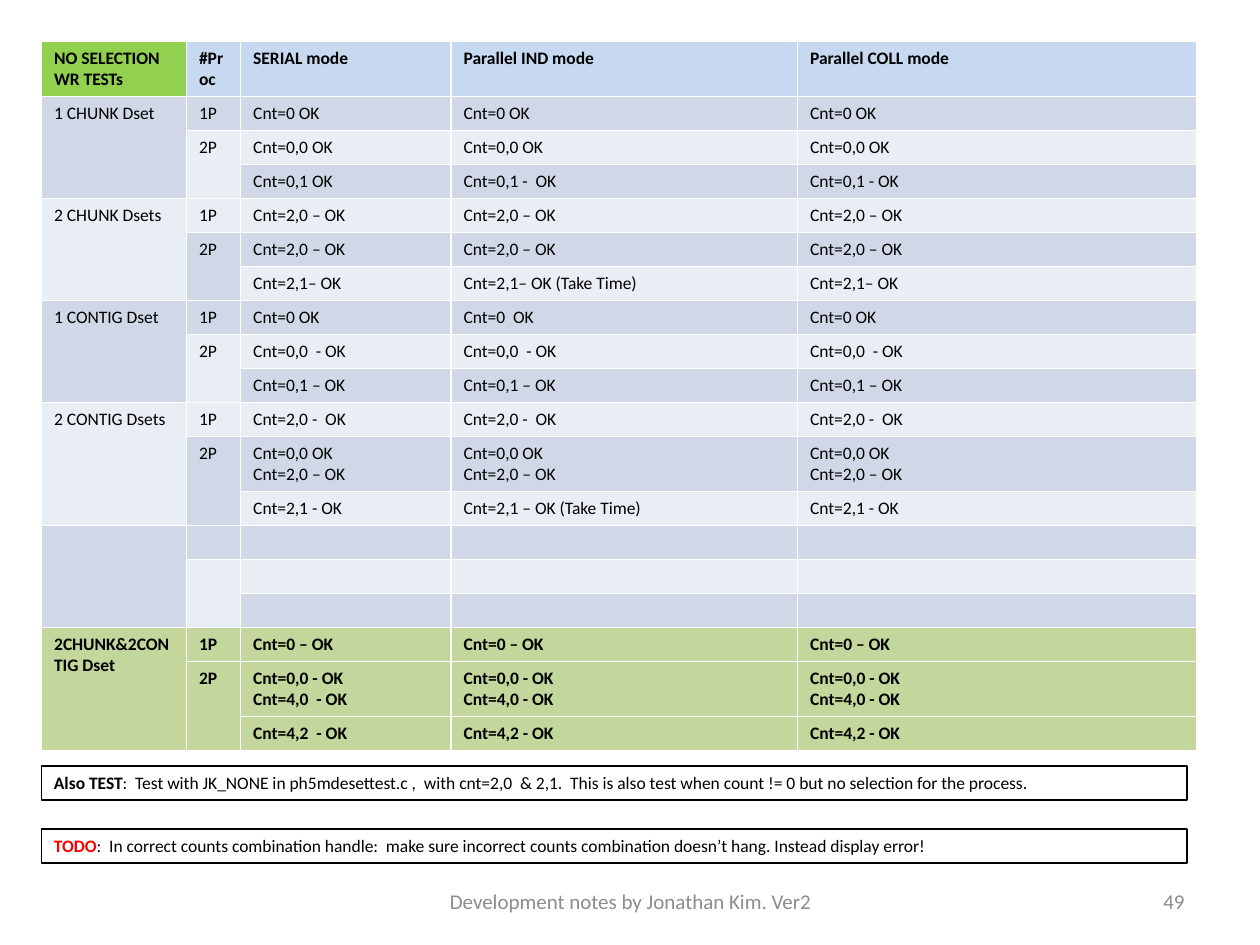
from dataclasses import dataclass

from lxml import etree
from pptx import Presentation
from pptx.dml.color import RGBColor
from pptx.enum.shapes import MSO_SHAPE
from pptx.enum.text import MSO_ANCHOR, PP_ALIGN
from pptx.oxml.ns import qn
from pptx.slide import Slide
from pptx.table import Table
from pptx.util import Inches, Pt

RECTANGLE = MSO_SHAPE.RECTANGLE
TOP, MIDDLE = MSO_ANCHOR.TOP, MSO_ANCHOR.MIDDLE
LEFT, CENTER, RIGHT = PP_ALIGN.LEFT, PP_ALIGN.CENTER, PP_ALIGN.RIGHT

FONT = "Calibri"
BLACK = RGBColor(0x00, 0x00, 0x00)
RED = RGBColor(0xFF, 0x00, 0x00)
GRAY = RGBColor(0x8C, 0x8C, 0x8C)
HEADER_GREEN = RGBColor(0x92, 0xD0, 0x50)
HEADER_BLUE = RGBColor(0xC6, 0xD9, 0xF1)
COMBINED_GREEN = RGBColor(0xC3, 0xD6, 0x9B)
BANDS = (RGBColor(0xE9, 0xED, 0xF4), RGBColor(0xD0, 0xD8, 0xE8))

BODY_SIZE = Pt(10)
MARGIN = 0.33
COLUMN_WIDTHS = (1.15, 0.43, 1.67, 2.75, 3.17)
ONE_LINE, TWO_LINES = 0.27, 0.43


@dataclass(frozen=True)
class TestGroup:
    dataset: str
    one_process: tuple[str, str, str]
    two_processes: tuple[str, str, str]
    two_processes_more: tuple[str, str, str]
    combined: bool = False

    def rows(self) -> list[tuple[str, ...]]:
        labels = ("1P", "2P") if self.dataset else ("", "")
        return [
            (self.dataset, labels[0], *self.one_process),
            ("", labels[1], *self.two_processes),
            ("", "", *self.two_processes_more),
        ]


@dataclass(frozen=True)
class Note:
    top: float
    label: str
    label_color: RGBColor
    message: str


@dataclass(frozen=True)
class FooterItem:
    left: float
    width: float
    text: str
    alignment: PP_ALIGN


HEADINGS = ("NO SELECTION WR TESTs", "#Proc", "SERIAL mode",
            "Parallel IND mode", "Parallel COLL mode")
BLANK_RESULTS = ("", "", "")
GROUPS = (
    TestGroup("1 CHUNK Dset", ("Cnt=0 OK",) * 3, ("Cnt=0,0 OK",) * 3,
              ("Cnt=0,1 OK", "Cnt=0,1 -  OK", "Cnt=0,1 - OK")),
    TestGroup("2 CHUNK Dsets", ("Cnt=2,0 – OK",) * 3, ("Cnt=2,0 – OK",) * 3,
              ("Cnt=2,1– OK", "Cnt=2,1– OK (Take Time)", "Cnt=2,1– OK")),
    TestGroup("1 CONTIG Dset", ("Cnt=0 OK", "Cnt=0  OK", "Cnt=0 OK"),
              ("Cnt=0,0  - OK",) * 3, ("Cnt=0,1 – OK",) * 3),
    TestGroup("2 CONTIG Dsets", ("Cnt=2,0 -  OK",) * 3,
              ("Cnt=0,0 OK\nCnt=2,0 – OK",) * 3,
              ("Cnt=2,1 - OK", "Cnt=2,1 – OK (Take Time)", "Cnt=2,1 - OK")),
    TestGroup("", BLANK_RESULTS, BLANK_RESULTS, BLANK_RESULTS),
    TestGroup("2CHUNK&2CONTIG Dset", ("Cnt=0 – OK",) * 3,
              ("Cnt=0,0 - OK\nCnt=4,0  - OK",) + ("Cnt=0,0 - OK\nCnt=4,0 - OK",) * 2,
              ("Cnt=4,2  - OK", "Cnt=4,2 - OK", "Cnt=4,2 - OK"), combined=True),
)
NOTES = (
    Note(6.58, "TODO", RED,
         ":  In correct counts combination handle:  make sure incorrect counts "
         "combination doesn’t hang. Instead display error!"),
    Note(6.08, "Also TEST", BLACK,
         ":  Test with JK_NONE in ph5mdesettest.c ,  with cnt=2,0  & 2,1.  "
         "This is also test when count != 0 but no selection for the process."),
)
FOOTER = (
    FooterItem(3.42, 3.17, "Development notes by Jonathan Kim. Ver2", CENTER),
    FooterItem(7.17, 2.33, "49", RIGHT),
)


def style_run(run, size: Pt, color: RGBColor, bold: bool = False) -> None:
    run.font.name = FONT
    run.font.size = size
    run.font.bold = bold
    run.font.color.rgb = color


def fill_cell(cell, text: str, fill: RGBColor, bold: bool) -> None:
    cell.fill.solid()
    cell.fill.fore_color.rgb = fill
    cell.text_frame.text = text
    for paragraph in cell.text_frame.paragraphs:
        for run in paragraph.runs:
            style_run(run, BODY_SIZE, BLACK, bold)
        if not text:
            end = etree.SubElement(paragraph._p, qn("a:endParaRPr"))
            end.set("sz", str(int(BODY_SIZE.pt * 100)))


def draw_group(table: Table, first_row: int, group: TestGroup) -> None:
    for row, texts in enumerate(group.rows(), first_row):
        two_lines = any("\n" in text for text in texts)
        table.rows[row].height = Inches(TWO_LINES if two_lines else ONE_LINE)
        fill = COMBINED_GREEN if group.combined else BANDS[row % 2]
        for column, text in enumerate(texts):
            fill_cell(table.cell(row, column), text, fill, group.combined)
    last_row = first_row + 2
    table.cell(first_row, 0).merge(table.cell(last_row, 0))
    table.cell(first_row + 1, 1).merge(table.cell(last_row, 1))


def draw_results(slide: Slide) -> None:
    table = slide.shapes.add_table(
        1 + 3 * len(GROUPS), len(COLUMN_WIDTHS), Inches(MARGIN), Inches(MARGIN),
        Inches(sum(COLUMN_WIDTHS)), Inches(5.57)).table
    for column, width in zip(table.columns, COLUMN_WIDTHS):
        column.width = Inches(width)
    table.rows[0].height = Inches(TWO_LINES)
    for column, heading in enumerate(HEADINGS):
        fill = HEADER_BLUE if column else HEADER_GREEN
        fill_cell(table.cell(0, column), heading, fill, True)
    for index, group in enumerate(GROUPS):
        draw_group(table, 1 + 3 * index, group)


def draw_note(slide: Slide, note: Note) -> None:
    box = slide.shapes.add_shape(RECTANGLE, Inches(MARGIN), Inches(note.top),
                                 Inches(9.09), Inches(0.27))
    box.shadow.inherit = False
    box.fill.background()
    box.line.color.rgb = BLACK
    box.line.width = Pt(0.75)
    box.text_frame.word_wrap = True
    box.text_frame.vertical_anchor = TOP
    paragraph = box.text_frame.paragraphs[0]
    paragraph.alignment = LEFT
    for text, color, bold in ((note.label, note.label_color, True),
                              (note.message, BLACK, False)):
        run = paragraph.add_run()
        run.text = text
        style_run(run, BODY_SIZE, color, bold)


def draw_footer_item(slide: Slide, item: FooterItem) -> None:
    frame = slide.shapes.add_textbox(Inches(item.left), Inches(6.95),
                                     Inches(item.width), Inches(0.4)).text_frame
    frame.word_wrap = True
    frame.vertical_anchor = MIDDLE
    frame.text = item.text
    paragraph = frame.paragraphs[0]
    paragraph.alignment = item.alignment
    style_run(paragraph.runs[0], Pt(12), GRAY)


def main() -> None:
    presentation = Presentation()
    presentation.slide_width = Inches(10)
    presentation.slide_height = Inches(7.5)
    slide = presentation.slides.add_slide(presentation.slide_layouts[6])
    draw_results(slide)
    for note in NOTES:
        draw_note(slide, note)
    for item in FOOTER:
        draw_footer_item(slide, item)
    presentation.save("out.pptx")


if __name__ == "__main__":
    main()
